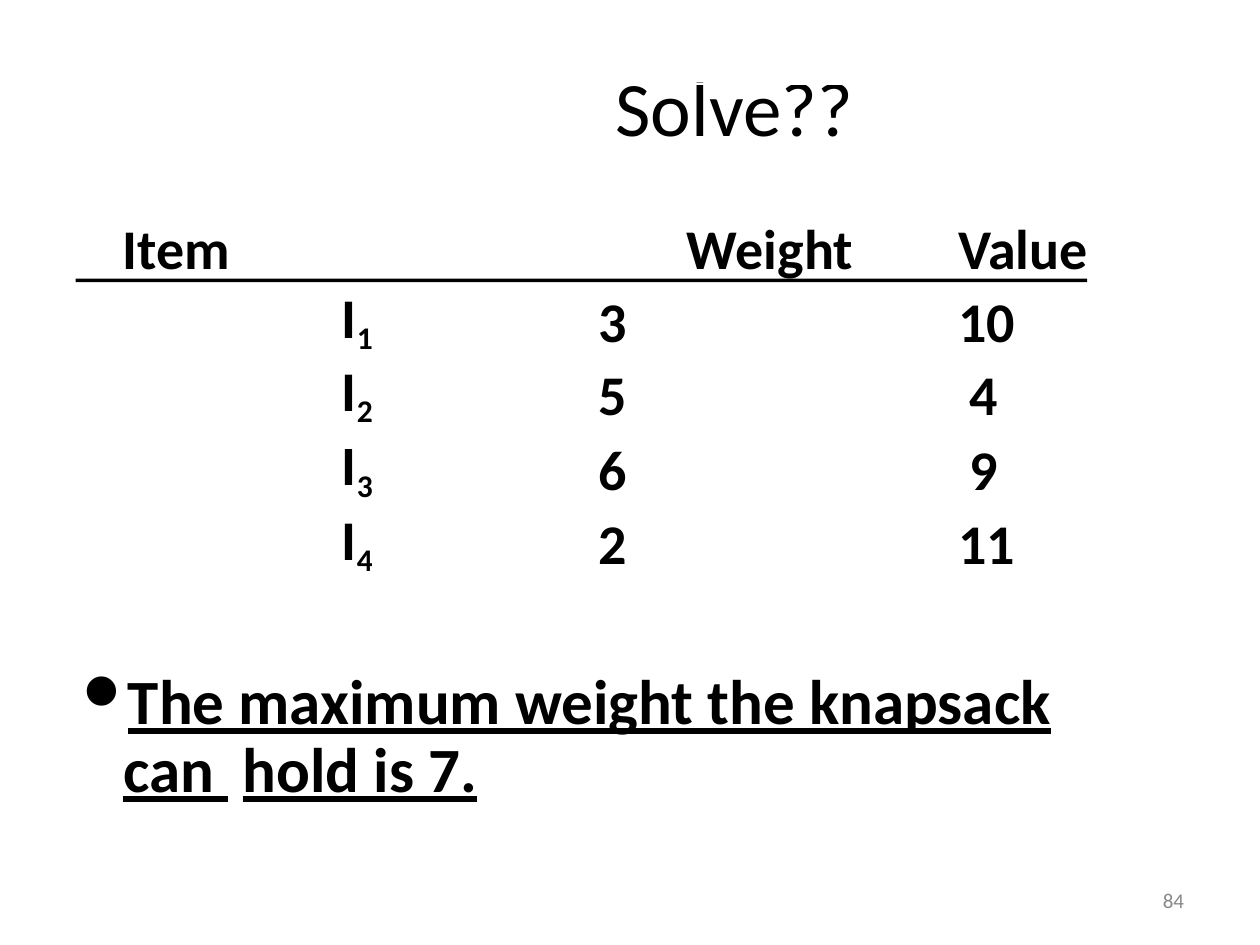
from dataclasses import dataclass

from lxml import etree
from pptx import Presentation
from pptx import util as u
from pptx.dml import color
from pptx.enum import shapes, text
from pptx.oxml import ns


@dataclass(frozen=True)
class Theme:
    font: str = "Calibri"
    ink: str = "000000"
    muted: str = "888888"
    title: float = 44
    table: float = 32
    subscript: float = 31
    note: float = 36
    number: float = 12


THEME = Theme()
LEFT, CENTER, RIGHT = text.PP_ALIGN.LEFT, text.PP_ALIGN.CENTER, text.PP_ALIGN.RIGHT
COLUMN_WIDTHS = (159, 274.5, 136)
ROW_HEIGHTS = (64, 57, 44.5, 42.5, 42.5, 39.5)
HEADINGS = (("Item", LEFT, 16), ("Weight", RIGHT, 0), ("Value", LEFT, 60))
ITEMS = ((3, 10), (5, 4), (6, 9), (2, 11))


def write(paragraph, pieces, size, ink=THEME.ink, bold=False, align=LEFT,
          spacing=None, indent=0):
    """Fill a paragraph with one run per piece and return the runs."""
    paragraph.text = pieces[0]
    for piece in pieces[1:]:
        paragraph.add_run().text = piece
    paragraph.alignment = align
    if spacing:
        paragraph.line_spacing = u.Pt(spacing)
    if indent:
        paragraph._p.get_or_add_pPr().set("marL", str(u.Pt(indent)))
    for run in paragraph.runs:
        run.font.name = THEME.font
        run.font.size = u.Pt(size)
        run.font.bold = bold
        run.font.color.rgb = color.RGBColor.from_string(ink)
    return paragraph.runs


def set_margins(target, top=0):
    target.margin_left = target.margin_right = target.margin_bottom = 0
    target.margin_top = u.Pt(top)


def add_text_box(slide, left, top, width, height, margin_top=0):
    box = slide.shapes.add_textbox(u.Pt(left), u.Pt(top), u.Pt(width), u.Pt(height))
    box.text_frame.word_wrap = True
    set_margins(box.text_frame, margin_top)
    return box.text_frame.paragraphs[0]


def add_bullet(paragraph, character, hang):
    properties = paragraph._p.get_or_add_pPr()
    properties.set("marL", str(u.Pt(hang)))
    properties.set("indent", str(-u.Pt(hang - 0.5)))
    etree.SubElement(properties, ns.qn("a:buChar")).set("char", character)
    tabs = etree.SubElement(properties, ns.qn("a:tabLst"))
    tab = etree.SubElement(tabs, ns.qn("a:tab"))
    tab.set("pos", str(u.Pt(hang)))
    tab.set("algn", "l")


def add_item_table(slide):
    frame = slide.shapes.add_table(
        len(ROW_HEIGHTS), len(COLUMN_WIDTHS), u.Pt(54), u.Pt(48),
        u.Pt(sum(COLUMN_WIDTHS)), u.Pt(sum(ROW_HEIGHTS)))
    table = frame.table
    table.first_row = table.horz_banding = False
    for column, width in zip(table.columns, COLUMN_WIDTHS):
        column.width = u.Pt(width)
    for row, height in zip(table.rows, ROW_HEIGHTS):
        row.height = u.Pt(height)
    for cell in table.iter_cells():
        cell.fill.background()
        set_margins(cell)

    def paragraph_at(row, column):
        return table.cell(row, column).text_frame.paragraphs[0]

    # Title and headings
    write(paragraph_at(0, 1), ["Solve??"], THEME.title, align=RIGHT, spacing=41.9)
    for column, (heading, align, indent) in enumerate(HEADINGS):
        set_margins(table.cell(1, column), 11.8)
        write(paragraph_at(1, column), [heading], THEME.table, bold=True,
              align=align, indent=indent)

    # One row per item
    for number, (weight, value) in enumerate(ITEMS, 1):
        row = number + 1
        style = dict(size=THEME.table, bold=True,
                     spacing=35.5 if number == 1 else 32.9)
        runs = write(paragraph_at(row, 0), ["I", str(number)], align=RIGHT, **style)
        runs[1].font.size = u.Pt(THEME.subscript)
        runs[1].font._element.set("baseline", "-21000")
        write(paragraph_at(row, 1), [str(weight)], align=CENTER, **style)
        align, indent = (LEFT, 60) if value >= 10 else (CENTER, 13.5)
        write(paragraph_at(row, 2), [str(value)], align=align, indent=indent, **style)


def add_rule(slide, left, top, width, height):
    rule = slide.shapes.add_shape(shapes.MSO_SHAPE.RECTANGLE, u.Pt(left), u.Pt(top),
                                  u.Pt(width), u.Pt(height))
    rule.shadow.inherit = False
    rule.fill.solid()
    rule.fill.fore_color.rgb = color.RGBColor.from_string(THEME.ink)
    rule.line.fill.background()


def add_capacity_note(slide):
    paragraph = add_text_box(slide, 42.5, 376.5, 617, 84.5, margin_top=5.9)
    add_bullet(paragraph, "⚫", 28)
    runs = write(paragraph, ["The maximum weight the knapsack can ", " ", "hold is 7."],
                 THEME.note, bold=True, spacing=38.9)
    for run in runs:
        run.font.underline = bool(run.text.strip())


def main():
    presentation = Presentation()
    presentation.slide_width, presentation.slide_height = u.Pt(720), u.Pt(540)
    slide = presentation.slides.add_slide(presentation.slide_layouts[6])

    # Items and the rule under their headings
    add_item_table(slide)
    add_rule(slide, 43.2, 159.2, 578, 2)

    # Capacity and slide number
    add_capacity_note(slide)
    write(add_text_box(slide, 661.5, 509, 18, 13.5), ["84"], THEME.number,
          ink=THEME.muted, spacing=12.4, indent=3)

    presentation.save("out.pptx")


if __name__ == "__main__":
    main()
